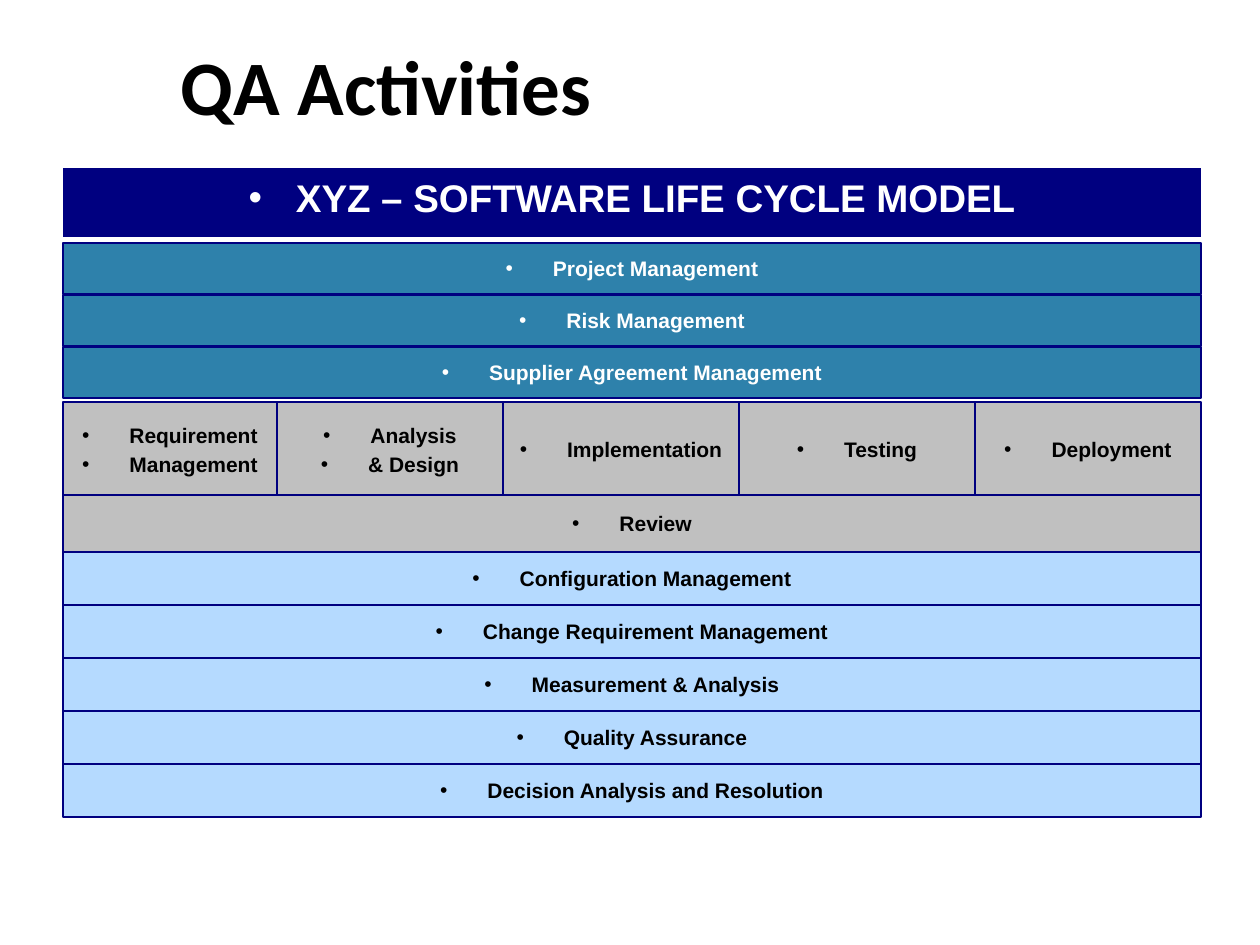
from pptx import Presentation
from pptx.dml.color import RGBColor
from pptx.enum.shapes import MSO_SHAPE as Shape
from pptx.enum.text import MSO_ANCHOR as Anchor, PP_ALIGN as Align
from pptx.oxml.ns import qn
from pptx.util import Pt
from lxml.etree import SubElement

SCALE = 914400 / 126
LEFT, WIDTH = 63, 1138
NAVY, TEAL, GREY, SKY = "000080", "006699", "C0C0C0", "99CCFF"
WHITE, BLACK = "FFFFFF", "000000"

TOP = ["Project Management", "Risk Management", "Supplier Agreement Management"]
PHASES = [
    ("Requirement\nManagement", 214),
    ("Analysis\n& Design", 226),
    ("Implementation", 236),
    ("Testing", 236),
    ("Deployment", 226),
]
BASE = [
    "Configuration Management",
    "Change Requirement Management",
    "Measurement & Analysis",
    "Quality Assurance",
    "Decision Analysis and Resolution",
]


def px(n):
    return round(n * SCALE)


def rgb(code):
    return RGBColor.from_string(code)


def style(para, font, size, color):
    for run in para.runs:
        run.font.name = font
        run.font.size = Pt(size)
        run.font.bold = True
        run.font.color.rgb = rgb(color)


def bullet(para):
    props = para._p.get_or_add_pPr()
    props.set("marL", "342900")
    props.set("indent", "-342900")
    SubElement(props, qn("a:buFont")).set("typeface", "Arial")
    SubElement(props, qn("a:buChar")).set("char", "•")


def fade(box, pct):
    tint = box._element.spPr.find(qn("a:solidFill"))[0]
    SubElement(tint, qn("a:alpha")).set("val", str(pct * 1000))


def add_box(group, text, x, y, w, h, fill, color=BLACK, size=12, alpha=100):
    box = group.shapes.add_shape(Shape.RECTANGLE, px(x), px(y), px(w), px(h))
    box.shadow.inherit = False
    box.fill.solid()
    box.fill.fore_color.rgb = rgb(fill)
    if alpha < 100:
        fade(box, alpha)
    box.line.color.rgb = rgb(NAVY)
    box.line.width = Pt(1)
    frame = box.text_frame
    frame.text = text
    frame.word_wrap = True
    frame.vertical_anchor = Anchor.MIDDLE
    for para in frame.paragraphs:
        para.alignment = Align.CENTER
        para.space_before = Pt(2.4)
        bullet(para)
        style(para, "Arial", size, color)
    return box


def add_rows(group, names, y, step, h, fill, color, alpha):
    for i, name in enumerate(names):
        add_box(group, name, LEFT, y + i * step, WIDTH, h, fill, color, alpha=alpha)


def add_phases(group, y, h):
    x = LEFT
    for name, w in PHASES:
        add_box(group, name, x, y, w, h, GREY)
        x += w


def set_title(slide, text):
    title = slide.shapes.title
    title.left, title.top = px(168), px(20)
    title.width, title.height = px(1033), px(129)
    frame = title.text_frame
    frame.text = text
    frame.vertical_anchor = Anchor.MIDDLE
    para = frame.paragraphs[0]
    para.alignment = Align.LEFT
    style(para, "Calibri", 44, BLACK)


def main():
    deck = Presentation()
    deck.slide_width, deck.slide_height = px(1260), px(945)
    slide = deck.slides.add_slide(deck.slide_layouts[5])
    set_title(slide, "QA Activities")
    group = slide.shapes.add_group_shape()
    head = add_box(group, "XYZ – SOFTWARE LIFE CYCLE MODEL",
                   LEFT, 168, WIDTH, 69, NAVY, WHITE, 22)
    head.line.fill.background()
    head.text_frame.vertical_anchor = Anchor.TOP
    add_rows(group, TOP, 243, 52, 51, TEAL, WHITE, 82)
    add_phases(group, 402, 95)
    add_box(group, "Review", LEFT, 495, WIDTH, 57, GREY)
    add_rows(group, BASE, 552, 53, 53, SKY, BLACK, 72)
    deck.save("out.pptx")


if __name__ == "__main__":
    main()
